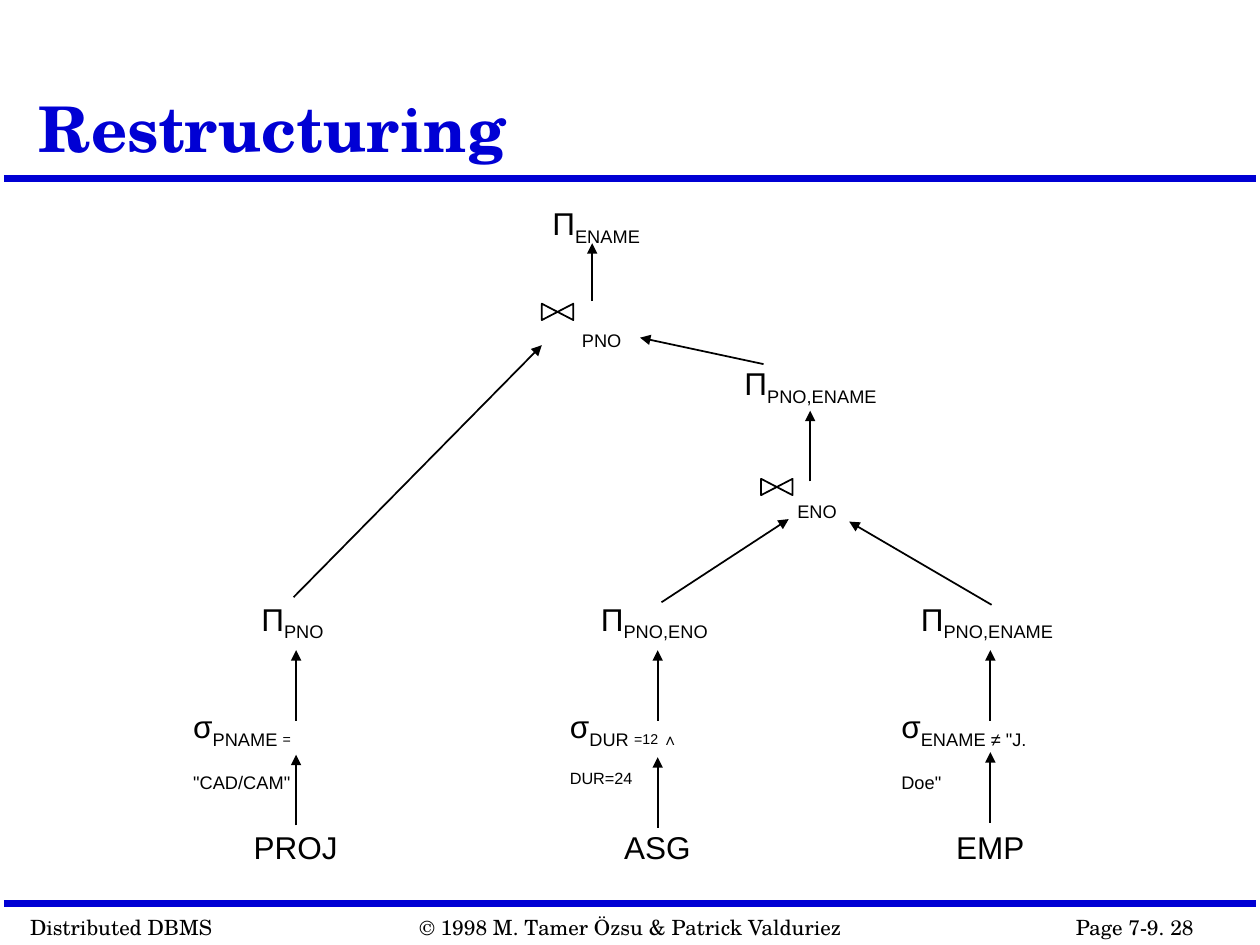
from lxml.etree import SubElement
from pptx import Presentation
from pptx.dml.color import RGBColor
from pptx.enum.shapes import MSO_CONNECTOR as Connector, MSO_SHAPE as Shape
from pptx.enum.text import MSO_ANCHOR as Anchor, MSO_AUTO_SIZE as AutoSize
from pptx.oxml.ns import qn
from pptx.util import Inches, Pt

WIDTH, HEIGHT = 10, 7.5
THEME = {
    "blue": RGBColor(0x00, 0x00, 0xD4),
    "black": RGBColor(0x00, 0x00, 0x00),
    "heading": "TeX Gyre Schola",
    "body": "Arial",
    "title": 36, "footer": 12, "node": 18, "medium": 16, "small": 14,
    "rule": 4, "arrow": 1,
}

# Content: each run is (text, size name, is subscript)
TITLE = "Restructuring"
FOOTERS = [  # text, left, width
    ("Distributed DBMS", 0.14, 1.65),
    ("© 1998 M. Tamer Özsu & Patrick Valduriez", 3.23, 3.57),
    ("Page 7-9. 28", 8.44, 1.76),
]
BRANCHES = [
    {"centre": 2.35, "arrow_start": 6.55,
     "relation": ("PROJ", 0.87), "projection": ("PNO", 0.71),
     "selection": ([("PNAME ", "node", True), ("= ", "small", True),
                    ('"CAD/CAM"', "node", True)], 1.77)},
    {"centre": 5.22, "arrow_start": 6.57,
     "relation": ("ASG", 0.73), "projection": ("PNO,ENO", 1.06),
     "selection": ([("DUR ", "node", True), ("=12 ", "small", True),
                    ("∧ DUR=24", "medium", True)], 1.53)},
    {"centre": 7.86, "arrow_start": 6.53,
     "relation": ("EMP", 0.74), "projection": ("PNO,ENAME", 1.26),
     "selection": ([('ENAME ≠ "J. Doe"', "node", True)], 1.55)},
]
UPPER_PROJECTIONS = [  # attributes, centre, top, width
    ("ENAME", 4.74, 1.57, 0.91),
    ("PNO,ENAME", 6.44, 2.84, 1.26),
]
JOINS = [  # attribute, label left, label top, bowtie left, bowtie top
    ("PNO", 4.52, 2.4, 4.36, 2.35),
    ("ENO", 6.23, 3.75, 6.1, 3.74),
]
TREE_ARROWS = [  # start, end
    ((2.33, 4.74), (4.3, 2.74)),
    ((5.25, 4.78), (6.26, 4.12)),
    ((7.87, 4.8), (6.74, 4.14)),
    ((6.43, 3.82), (6.43, 3.26)),
    ((6.06, 2.89), (5.08, 2.68)),
    ((4.7, 2.39), (4.7, 1.93)),
]

# Grid
ROWS = {"projection": 4.71, "selection": 5.56, "relation": 6.52}
NUDGE = {"projection": -0.02, "selection": -0.03}
ARROW_LENGTH = 0.56
UPPER_ARROW_START = 5.72
RULE_ROWS, RULE_MARGIN = (1.42, 7.17), 0.03
FOOTER_TOP = 7.21
LABEL_HEIGHT, PLAIN_HEIGHT, FOOTER_HEIGHT = 0.44, 0.4, 0.3
JOIN_LABEL_WIDTH = 0.56
BOWTIE = (0.13, 0.25)
WRAP_INSET = 0.4  # right inset that sends a long condition to a second line

presentation = Presentation()
presentation.slide_width, presentation.slide_height = Inches(WIDTH), Inches(HEIGHT)
slide = presentation.slides.add_slide(presentation.slide_layouts[6])


def set_all(target, values):
    for name, value in values.items():
        setattr(target, name, value)


def add_text(box, runs, font="body", color="black", bold=False, **frame_format):
    shape = slide.shapes.add_textbox(*map(Inches, box))
    frame = shape.text_frame
    set_all(frame, {"word_wrap": False, "auto_size": AutoSize.SHAPE_TO_FIT_TEXT,
                    **frame_format})
    paragraph = frame.paragraphs[0]
    for text, size, subscript in runs:
        run = paragraph.add_run()
        run.text = text
        set_all(run.font, {"name": THEME[font], "size": Pt(THEME[size]), "bold": bold})
        run.font.color.rgb = THEME[color]
        if subscript:
            run.font._element.set("baseline", "-25000")
    return paragraph


def add_line(start, end, color="black", width="arrow", arrow=True):
    line = slide.shapes.add_connector(Connector.STRAIGHT, *map(Inches, (*start, *end)))
    line.line.color.rgb = THEME[color]
    line.line.width = Pt(THEME[width])
    if arrow:
        SubElement(line.line._get_or_add_ln(), qn("a:tailEnd"), type="triangle")
    SubElement(line._element.spPr, qn("a:effectLst"))


def add_projection(attributes, centre, top, width):
    add_text((centre - width / 2, top, width, LABEL_HEIGHT),
             [("Π", "node", False), (attributes, "node", True)])


# Title, rules and footer
for row in RULE_ROWS:
    add_line((RULE_MARGIN, row), (WIDTH - RULE_MARGIN, row), "blue", "rule", arrow=False)
title = add_text((0.21, 0.12, 7.83, 1.25), [(TITLE, "title", False)], "heading", "blue", True,
                 word_wrap=True, auto_size=AutoSize.NONE, vertical_anchor=Anchor.BOTTOM)
title.line_spacing = 0.9
for text, left, width in FOOTERS:
    add_text((left, FOOTER_TOP, width, FOOTER_HEIGHT), [(text, "footer", False)], "heading")

# Branches: relation, selection, projection, with an arrow between each
for branch in BRANCHES:
    centre = branch["centre"]
    name, width = branch["relation"]
    add_text((centre - width / 2, ROWS["relation"], width, PLAIN_HEIGHT),
             [(name, "node", False)])
    condition, width = branch["selection"]
    add_text((centre + NUDGE["selection"] - width / 2, ROWS["selection"], width, LABEL_HEIGHT),
             [("σ", "node", False), *condition],
             word_wrap=True, margin_right=Inches(WRAP_INSET))
    attributes, width = branch["projection"]
    add_projection(attributes, centre + NUDGE["projection"], ROWS["projection"], width)
    for start in (branch["arrow_start"], UPPER_ARROW_START):
        add_line((centre, start), (centre, start - ARROW_LENGTH))

# Upper part of the tree
for projection in UPPER_PROJECTIONS:
    add_projection(*projection)
for start, end in TREE_ARROWS:
    add_line(start, end)

# Joins: a bowtie with the join attribute beside it
for attribute, left, top, bowtie_left, bowtie_top in JOINS:
    add_text((left, top, JOIN_LABEL_WIDTH, LABEL_HEIGHT), [(attribute, "node", True)])
    bowtie = slide.shapes.add_shape(Shape.FLOWCHART_COLLATE,
                                    *map(Inches, (bowtie_left, bowtie_top, *BOWTIE)))
    bowtie.rotation = 270
    bowtie.shadow.inherit = False
    bowtie.fill.background()
    bowtie.line.color.rgb = THEME["black"]
    bowtie.line.width = Pt(THEME["arrow"])

presentation.save("out.pptx")
